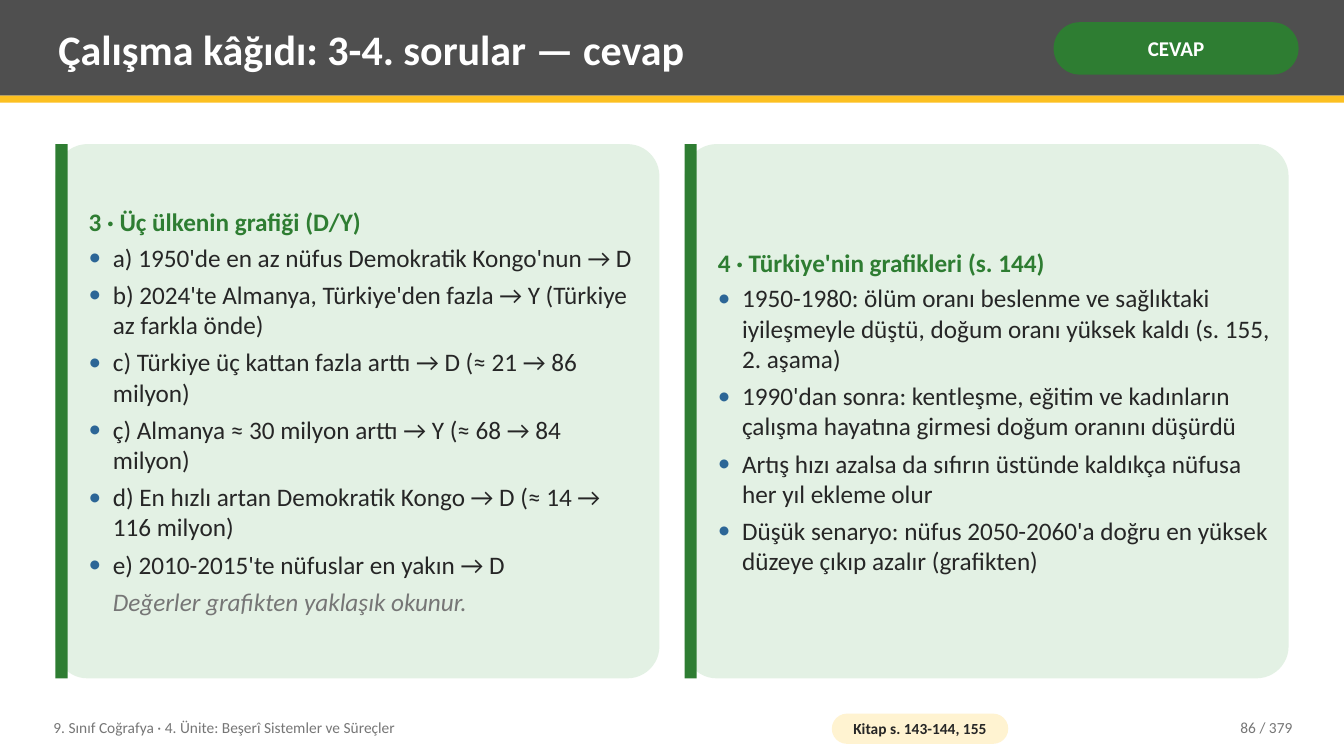
from lxml import etree
from pptx import Presentation
from pptx.dml.color import RGBColor
from pptx.enum.shapes import MSO_SHAPE as Preset
from pptx.enum.text import MSO_ANCHOR as Anchor, MSO_AUTO_SIZE as AutoSize, PP_ALIGN as Align
from pptx.oxml.ns import qn
from pptx.util import Inches, Pt

GREEN, PALE_GREEN, BULLET_BLUE = "2E7D32", "E3F1E4", "2C6696"
INK, GREY, WHITE = "262626", "767676", "FFFFFF"

CARDS = [
    ("3 · Üç ülkenin grafiği (D/Y)",
     ["a) 1950'de en az nüfus Demokratik Kongo'nun → D",
      "b) 2024'te Almanya, Türkiye'den fazla → Y (Türkiye az farkla önde)",
      "c) Türkiye üç kattan fazla arttı → D (≈ 21 → 86 milyon)",
      "ç) Almanya ≈ 30 milyon arttı → Y (≈ 68 → 84 milyon)",
      "d) En hızlı artan Demokratik Kongo → D (≈ 14 → 116 milyon)",
      "e) 2010-2015'te nüfuslar en yakın → D"],
     "Değerler grafikten yaklaşık okunur."),
    ("4 · Türkiye'nin grafikleri (s. 144)",
     ["1950-1980: ölüm oranı beslenme ve sağlıktaki iyileşmeyle düştü, "
      "doğum oranı yüksek kaldı (s. 155, 2. aşama)",
      "1990'dan sonra: kentleşme, eğitim ve kadınların çalışma hayatına girmesi "
      "doğum oranını düşürdü",
      "Artış hızı azalsa da sıfırın üstünde kaldıkça nüfusa her yıl ekleme olur",
      "Düşük senaryo: nüfus 2050-2060'a doğru en yüksek düzeye çıkıp azalır (grafikten)"],
     None),
]


def add_block(left, top, width, height, fill, rounding=None):
    preset = Preset.RECTANGLE if rounding is None else Preset.ROUNDED_RECTANGLE
    shape = slide.shapes.add_shape(preset, Inches(left), Inches(top), Inches(width), Inches(height))
    if rounding is not None:
        shape.adjustments[0] = rounding
    shape.shadow.inherit = False
    shape.fill.solid()
    shape.fill.fore_color.rgb = RGBColor.from_string(fill)
    shape.line.fill.background()
    return shape


def write(shape, lines, align=Align.LEFT, inset=(0.08, 0.04)):
    """Fill a shape with lines of (text, size, colour, bold, italic, kind)."""
    frame = shape.text_frame
    frame.word_wrap = True
    frame.auto_size = AutoSize.NONE
    frame.vertical_anchor = Anchor.MIDDLE
    frame.margin_left = frame.margin_right = Inches(inset[0])
    frame.margin_top = frame.margin_bottom = Inches(inset[1])
    for number, (text, size, colour, bold, italic, kind) in enumerate(lines):
        paragraph = frame.add_paragraph() if number else frame.paragraphs[0]
        paragraph.text = text
        paragraph.alignment = align
        if kind in ("bullet", "note"):
            properties = paragraph._p.get_or_add_pPr()
            properties.set("marL", str(Inches(0.24)))
            properties.set("indent", str(-Inches(0.24) if kind == "bullet" else 0))
        if kind == "bullet":
            bullet_colour = etree.SubElement(properties, qn("a:buClr"))
            etree.SubElement(bullet_colour, qn("a:srgbClr"), val=BULLET_BLUE)
            etree.SubElement(properties, qn("a:buFont"), typeface="Calibri")
            etree.SubElement(properties, qn("a:buChar"), char="•")
        if number < len(lines) - 1:
            paragraph.space_after = Pt(4 if kind == "heading" else 5)
        font = paragraph.font
        font.name, font.size, font.bold, font.italic = "Calibri", Pt(size), bold, italic
        font.color.rgb = RGBColor.from_string(colour)


presentation = Presentation()
presentation.slide_width, presentation.slide_height = Inches(13.33), Inches(7.5)
slide = presentation.slides.add_slide(presentation.slide_layouts[5])

# Header
add_block(0, 0, 13.33, 0.95, "4F4F4F")
add_block(0, 0.95, 13.33, 0.07, "FCC021")
title = slide.shapes.title
title.left, title.top, title.width, title.height = Inches(0.5), Inches(0.07), Inches(9.75), Inches(0.82)
write(title, [("Çalışma kâğıdı: 3-4. sorular — cevap", 30, WHITE, True, False, None)])
slide.shapes.element.append(title.element)  # in front of the header band
answer_badge = add_block(10.45, 0.22, 2.43, 0.52, GREEN, 0.5)
write(answer_badge, [("CEVAP", 15, WHITE, True, False, None)], Align.CENTER, (0.05, 0.02))

# Answer cards
for column, (heading, answers, note) in enumerate(CARDS):
    left = 0.55 + column * 6.24
    add_block(left, 1.43, 5.99, 5.3, PALE_GREEN, 0.06)
    add_block(left, 1.43, 0.12, 5.3, GREEN)
    lines = [(heading, 18, GREEN, True, False, "heading")]
    lines += [(answer, 18, INK, False, False, "bullet") for answer in answers]
    if note:
        lines.append((note, 18, GREY, False, True, "note"))
    write(slide.shapes.add_textbox(Inches(left + 0.25), Inches(1.49), Inches(5.64), Inches(5.18)), lines)

# Footer
for text, left, width, align in [
    ("9. Sınıf Coğrafya · 4. Ünite: Beşerî Sistemler ve Süreçler", 0.45, 7.6, Align.LEFT),
    ("86 / 379", 11.3, 1.6, Align.RIGHT),
]:
    box = slide.shapes.add_textbox(Inches(left), Inches(7.04), Inches(width), Inches(0.36))
    write(box, [(text, 11, GREY, False, False, None)], align)
book_badge = add_block(8.25, 7.08, 1.75, 0.3, "FFF3D1", 0.5)
write(book_badge, [("Kitap s. 143-144, 155", 11, INK, True, False, None)], Align.CENTER, (0.04, 0))

presentation.save("out.pptx")
